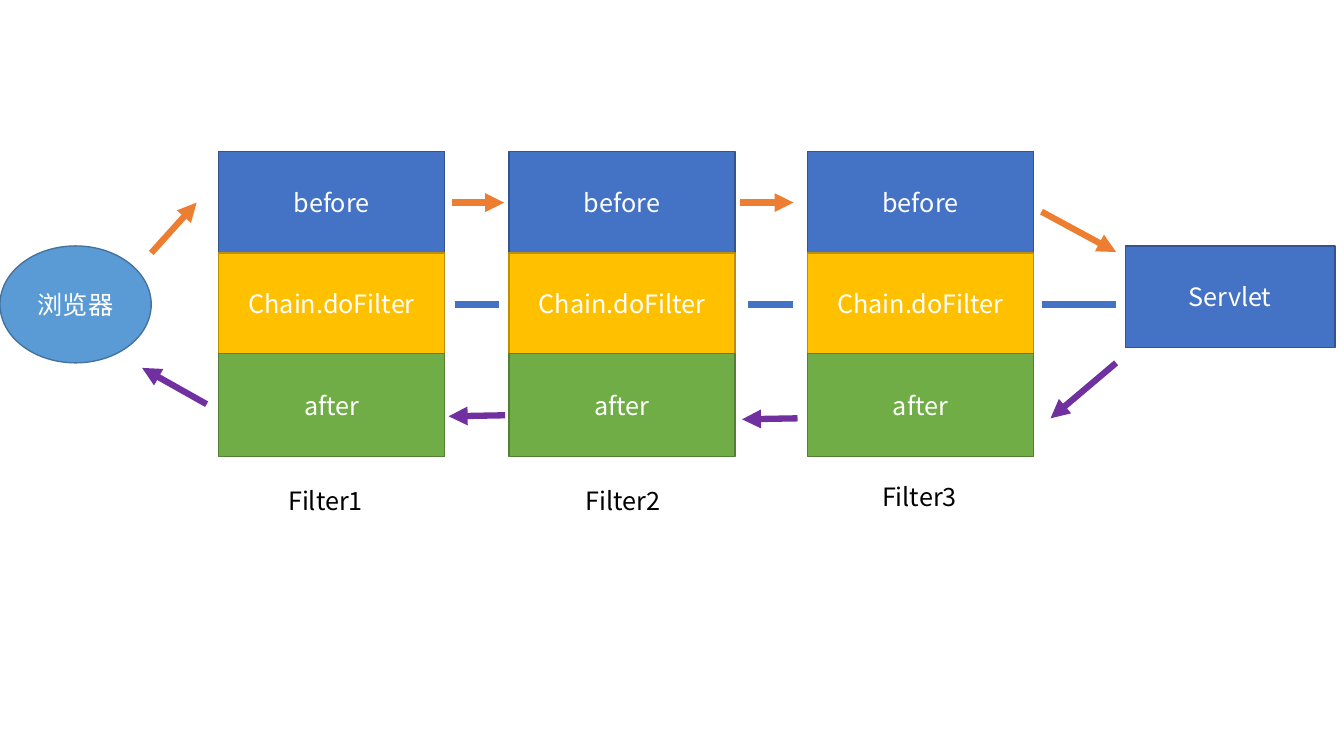
from lxml.etree import SubElement
from pptx import Presentation
from pptx.dml.color import RGBColor
from pptx.enum.shapes import MSO_CONNECTOR, MSO_SHAPE
from pptx.enum.text import MSO_ANCHOR, PP_ALIGN
from pptx.oxml.ns import qn
from pptx.util import Inches, Pt

FONT = "Noto Sans CJK SC"
COLORS = {
    "white": "FFFFFF", "black": "000000",
    "browser": "5B9BD5", "browser_edge": "43739E",
    "before": "4472C4", "before_edge": "325491",
    "chain": "FFC000", "chain_edge": "BD8E00",
    "after": "70AD47", "after_edge": "538035",
    "request": "ED7D31", "response": "7030A0", "link": "4472C4",
}
RGB = {name: RGBColor.from_string(value) for name, value in COLORS.items()}

presentation = Presentation()
presentation.slide_width = Inches(13.33)
presentation.slide_height = Inches(7.5)
slide = presentation.slides.add_slide(presentation.slide_layouts[6])


def write(holder, words, color, align):
    """Put one line of 18 pt text into a shape or text box."""
    frame = holder.text_frame
    frame.word_wrap = True
    frame.text = words
    frame.paragraphs[0].alignment = align
    font = frame.paragraphs[0].runs[0].font
    font.name, font.size, font.color.rgb = FONT, Pt(18), RGB[color]
    SubElement(font._element, qn("a:ea")).set("typeface", FONT)


def add_block(kind, box, words, color):
    """Add a filled, outlined shape with centred white text."""
    block = slide.shapes.add_shape(kind, *map(Inches, box))
    block.shadow.inherit = False
    block.fill.solid()
    block.fill.fore_color.rgb = RGB[color]
    block.line.color.rgb = RGB[color + "_edge"]
    block.line.width = Pt(1)
    block.text_frame.vertical_anchor = MSO_ANCHOR.MIDDLE
    write(block, words, "white", PP_ALIGN.CENTER)


add_block(MSO_SHAPE.OVAL, (0, 2.44, 1.5, 1.16), "浏览器", "browser")

# Each filter is a stack of three stages
stages = [("before", "before", 1.5, 1.01), ("Chain.doFilter", "chain", 2.51, 1.01),
          ("after", "after", 3.51, 1.02)]
for filter_left in (2.17, 5.05, 8.01):
    for words, color, top, height in stages:
        add_block(MSO_SHAPE.RECTANGLE, (filter_left, top, 2.24, height), words, color)

add_block(MSO_SHAPE.RECTANGLE, (11.16, 2.44, 2.08, 1.01), "Servlet", "before")

# Start and end points of the request, response and plain links
flows = {
    "request": [(1.5, 2.51, 1.95, 2.01), (4.48, 2.01, 5, 2.01),
                (7.34, 2.01, 7.87, 2.01), (10.33, 2.1, 11.07, 2.5)],
    "response": [(11.07, 3.6, 10.42, 4.15), (5.01, 4.12, 4.45, 4.13),
                 (7.91, 4.15, 7.36, 4.16), (2.05, 4.01, 1.41, 3.65)],
    "link": [(4.51, 3.02, 4.95, 3.02), (7.42, 3.02, 7.87, 3.02),
             (10.33, 3.02, 11.07, 3.02)],
}
for flow, routes in flows.items():
    for route in routes:
        step = slide.shapes.add_connector(MSO_CONNECTOR.STRAIGHT, *map(Inches, route))
        step.line.color.rgb = RGB[flow]
        step.line.width = Pt(4.5)
        if flow != "link":
            SubElement(step.line._get_or_add_ln(), qn("a:tailEnd")).set("type", "triangle")
        SubElement(step._element.spPr, qn("a:effectLst"))

captions = [(2.76, 4.77, 2.24), (5.71, 4.77, 2.38), (8.65, 4.73, 1.44)]
for number, (left, top, width) in enumerate(captions, start=1):
    caption = slide.shapes.add_textbox(*map(Inches, (left, top, width, 0.4)))
    write(caption, f"Filter{number}", "black", PP_ALIGN.LEFT)

presentation.save("out.pptx")
